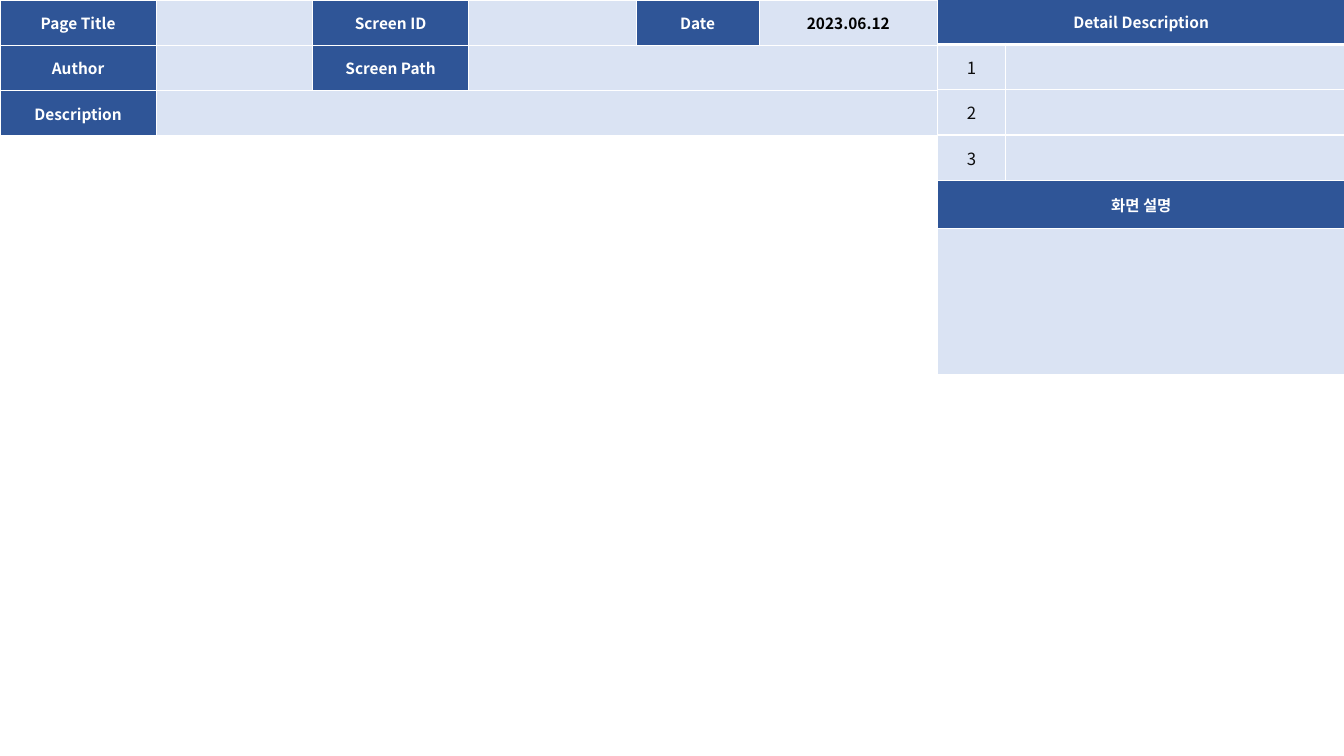
"""Build a screen specification slide with a page header table and a description panel."""
from dataclasses import dataclass

from lxml import etree
from pptx import Presentation
from pptx.dml.color import RGBColor
from pptx.enum.text import MSO_ANCHOR, PP_ALIGN
from pptx.oxml.ns import qn
from pptx.util import Inches, Pt

CENTER = PP_ALIGN.CENTER
MIDDLE = MSO_ANCHOR.MIDDLE


@dataclass
class Theme:
    font: str = "Noto Sans CJK KR"
    navy: str = "2F5597"
    pale: str = "DAE3F3"
    white: str = "FFFFFF"
    black: str = "000000"
    ink: str = "0D0D0D"
    label: int = 11
    number: int = 12
    thin: int = 1
    thick: int = 3


theme = Theme()


def style_cell(cell, text, fill, color, size, bold, top, bottom):
    cell.margin_left = cell.margin_right = Inches(0.13)
    cell.margin_top = cell.margin_bottom = Inches(0.05)
    cell.vertical_anchor = MIDDLE
    cell.fill.solid()
    cell.fill.fore_color.rgb = RGBColor.from_string(fill)
    tcPr = cell._tc.get_or_add_tcPr()
    edges = {"L": theme.thin, "R": theme.thin, "T": top, "B": bottom}
    for i, (side, width) in enumerate(edges.items()):
        ln = etree.Element(qn(f"a:ln{side}"), w=str(Pt(width)))
        line_fill = etree.SubElement(ln, qn("a:solidFill"))
        etree.SubElement(line_fill, qn("a:srgbClr"), val=theme.white)
        tcPr.insert(i, ln)
    p = cell.text_frame.paragraphs[0]
    p.alignment = CENTER
    if text:
        r = p.add_run()
        r.text = text
        r.font.size = Pt(size)
        r.font.bold = bold
        r.font.color.rgb = RGBColor.from_string(color)
        r.font.name = theme.font
        etree.SubElement(r._r.get_or_add_rPr(), qn("a:ea"), typeface=theme.font)


def add_grid(slide, left, top, widths, heights):
    table = slide.shapes.add_table(
        len(heights), len(widths), Inches(left), Inches(top),
        Inches(sum(widths)), Inches(sum(heights))).table
    table.first_row = table.horz_banding = False
    for col, width in zip(table.columns, widths):
        col.width = Inches(width)
    for row, height in zip(table.rows, heights):
        row.height = Inches(height)
    return table


prs = Presentation()
prs.slide_width = Inches(13.33)
prs.slide_height = Inches(7.5)
s = prs.slides.add_slide(prs.slide_layouts[6])

header_rows = [
    ["Page Title", "", "Screen ID", "", "Date", "2023.06.12"],
    ["Author", "", "Screen Path", "", "", ""],
    ["Description", "", "", "", "", ""],
]
header = add_grid(s, 0, 0, [1.55, 1.55, 1.55, 1.66, 1.22, 1.77], [0.45] * 3)
for r_i, texts in enumerate(header_rows):
    for c_i, text in enumerate(texts):
        is_label = bool(text) and c_i % 2 == 0
        style_cell(header.cell(r_i, c_i), text,
                   theme.navy if is_label else theme.pale,
                   theme.white if is_label else theme.black,
                   theme.label, True, theme.thin, theme.thin)
header.cell(1, 3).merge(header.cell(1, 5))
header.cell(2, 1).merge(header.cell(2, 5))

panel_rows = ["Detail Description", "1", "2", "3", "화면 설명", ""]
heading_rows = (0, 4)
panel = add_grid(s, 9.3, -0.01, [0.67, 3.37], [0.45] * 4 + [0.48, 1.45])
for r_i, label in enumerate(panel_rows):
    is_heading = r_i in heading_rows
    for c_i, text in enumerate([label, ""]):
        style_cell(panel.cell(r_i, c_i), text,
                   theme.navy if is_heading else theme.pale,
                   theme.white if is_heading else theme.ink,
                   theme.label if is_heading else theme.number, is_heading,
                   theme.thick if r_i == 1 else theme.thin,
                   theme.thick if r_i == 0 else theme.thin)
for r_i in (*heading_rows, 5):
    panel.cell(r_i, 0).merge(panel.cell(r_i, 1))

prs.save("out.pptx")
